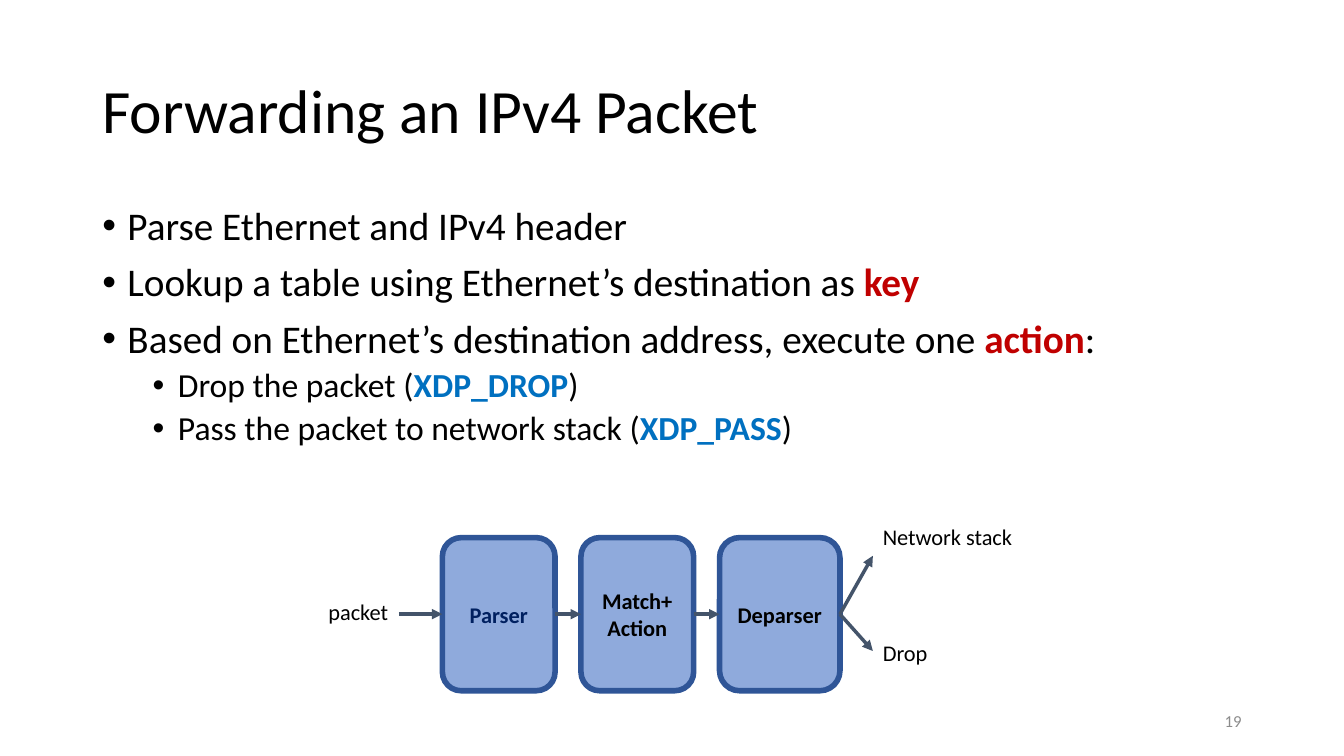
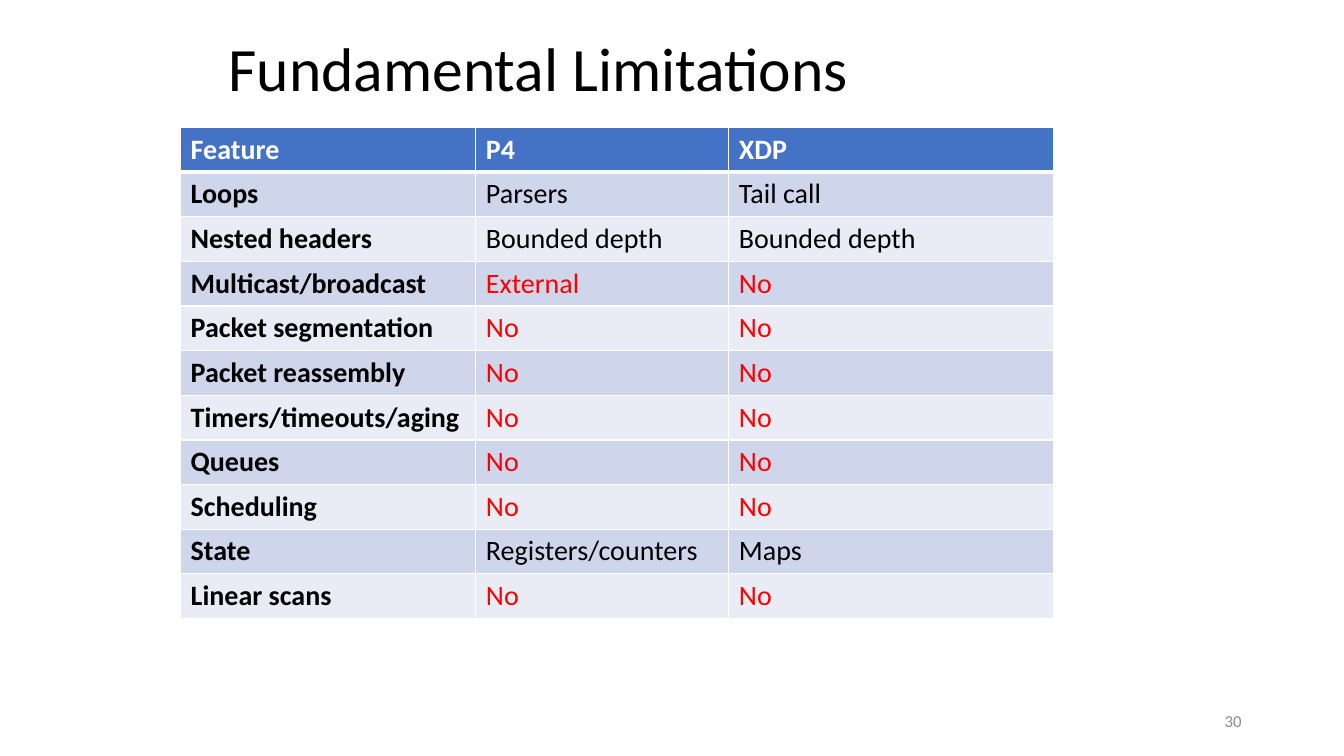
from itertools import pairwise

from lxml.etree import SubElement
from pptx import Presentation
from pptx.dml.color import RGBColor
from pptx.enum.shapes import MSO_CONNECTOR, MSO_SHAPE
from pptx.enum.text import MSO_ANCHOR, MSO_AUTO_SIZE, PP_ALIGN
from pptx.oxml.ns import qn
from pptx.util import Pt

FONT = "Calibri"
COLORS = {
    "text": "000000",
    "white": "FFFFFF",
    "key": "C00000",
    "code": "0070C0",
    "navy": "002060",
    "stage": "8FAADC",
    "stage_line": "2F5597",
    "arrow": "44546A",
    "header": "4472C4",
    "band_dark": "CFD5EA",
    "band_light": "E9EBF5",
    "limit": "FF0000",
    "number": "8C8C8C",
}
LEFT, TOP, RIGHT, BOTTOM = 1, 0, 3, 2
LIMITS = {"No", "External"}

BULLETS = [
    (0, ["Parse Ethernet and IPv4 header"]),
    (0, ["Lookup a table using Ethernet’s destination as ", ("key", "key")]),
    (0, ["Based on Ethernet’s destination address, execute one ",
         ("action", "key"), ":"]),
    (1, ["Drop the packet (", ("XDP_DROP", "code"), ")"]),
    (1, ["Pass the packet to network stack (", ("XDP_PASS", "code"), ")"]),
]
FEATURES = [
    ("Feature", "P4", "XDP"),
    ("Loops", "Parsers", "Tail call"),
    ("Nested headers", "Bounded depth", "Bounded depth"),
    ("Multicast/broadcast", "External", "No"),
    ("Packet segmentation", "No", "No"),
    ("Packet reassembly", "No", "No"),
    ("Timers/timeouts/aging", "No", "No"),
    ("Queues", "No", "No"),
    ("Scheduling", "No", "No"),
    ("State", "Registers/counters", "Maps"),
    ("Linear scans", "No", "No"),
]


def rgb(name):
    return RGBColor.from_string(COLORS[name])


def points(*lengths):
    return [Pt(length) for length in lengths]


def write_para(para, spans, size=16, color="text", bold=False,
               align=PP_ALIGN.LEFT, line_spacing=None, space_before=None):
    """Fill a paragraph; a (text, color) span is bold and in its own color."""
    para.alignment = align
    para.line_spacing = line_spacing
    para.space_before = space_before
    for part in spans:
        strong = isinstance(part, tuple)
        words, shade = part if strong else (part, color)
        span = para.add_run()
        span.text = words
        span.font.name = FONT
        span.font.size = Pt(size)
        span.font.bold = bold or strong
        span.font.color.rgb = rgb(shade)


def write(frame, text, **style):
    """Write each line of the text as one paragraph."""
    for index, line in enumerate(text.split("\n")):
        para = frame.add_paragraph() if index else frame.paragraphs[0]
        write_para(para, [line], **style)


def add_label(page, box, text, wrap=False, anchor=MSO_ANCHOR.TOP, **style):
    frame = page.shapes.add_textbox(*points(*box)).text_frame
    frame.word_wrap = wrap
    frame.vertical_anchor = anchor
    write(frame, text, **style)


def add_page(deck, title, title_box, number):
    page = deck.slides.add_slide(deck.slide_layouts[5])
    holder = page.shapes.title
    holder.left, holder.top, holder.width, holder.height = points(*title_box)
    holder.text_frame.vertical_anchor = MSO_ANCHOR.MIDDLE
    holder.text_frame.auto_size = MSO_AUTO_SIZE.NONE
    write(holder.text_frame, title, size=44, line_spacing=0.9)
    add_label(page, (678, 500.5, 216, 28.8), number, wrap=True,
              anchor=MSO_ANCHOR.MIDDLE, size=12, color="number",
              align=PP_ALIGN.RIGHT)
    return page


def add_bullets(page, box, items):
    frame = page.shapes.add_textbox(*points(*box)).text_frame
    frame.word_wrap = True
    for index, (level, spans) in enumerate(items):
        para = frame.add_paragraph() if index else frame.paragraphs[0]
        para.level = level
        write_para(para, spans, size=28 - 4 * level, line_spacing=0.9,
                   space_before=Pt(10 - 5 * level))
        properties = para._p.get_or_add_pPr()
        properties.set("marL", str(Pt(18 + 36 * level)))
        properties.set("indent", str(-Pt(18)))
        SubElement(properties, qn("a:buFont"), typeface="Arial")
        SubElement(properties, qn("a:buChar"), char="•")


def add_stage(page, box, text, color):
    stage = page.shapes.add_shape(MSO_SHAPE.ROUNDED_RECTANGLE, *points(*box))
    stage.shadow.inherit = False
    stage.fill.solid()
    stage.fill.fore_color.rgb = rgb("stage")
    stage.line.color.rgb = rgb("stage_line")
    stage.line.width = Pt(4)
    stage.text_frame.word_wrap = True
    stage.text_frame.vertical_anchor = MSO_ANCHOR.MIDDLE
    write(stage.text_frame, text, color=color, bold=True,
          align=PP_ALIGN.CENTER)
    return stage


def add_arrow(page, start=(0, 0), end=(0, 0), source=None, target=None):
    """Draw an arrow, joined to the source's right and the target's left."""
    arrow = page.shapes.add_connector(MSO_CONNECTOR.STRAIGHT,
                                      *points(*start, *end))
    if source is not None:
        arrow.begin_connect(source, RIGHT)
    if target is not None:
        arrow.end_connect(target, LEFT)
    arrow.line.color.rgb = rgb("arrow")
    arrow.line.width = Pt(2.5)
    SubElement(arrow.line._get_or_add_ln(), qn("a:tailEnd"), type="triangle")
    SubElement(arrow._element.spPr, qn("a:effectLst"))


def add_pipeline(page, box):
    left, top, width, height = box
    label_height = 26.6
    stage_left, stage_top, stage_height, gap = left + 88.5, top + 14, 109.4, 18.5
    middle = stage_top + stage_height / 2
    exit_left = left + 396

    stages = []
    for text, stage_width, color in (("Parser", 80.5, "navy"),
                                     ("Match+\nAction", 80.5, "text"),
                                     ("Deparser", 86, "text")):
        stage_box = (stage_left, stage_top, stage_width, stage_height)
        stages.append(add_stage(page, stage_box, text, color))
        stage_left += stage_width + gap

    add_label(page, (left, middle - 15, 57.5, label_height), "packet")
    add_arrow(page, start=(left + 57.5, middle), target=stages[0])
    for source, target in pairwise(stages):
        add_arrow(page, source=source, target=target)
    for text, label_width, label_top, tip in (
            ("Network stack", width - 396, top, top + 27),
            ("Drop", 47, top + 83, top + 95)):
        add_arrow(page, end=(exit_left, tip), source=stages[-1])
        add_label(page, (exit_left, label_top, label_width, label_height), text)


def set_border(cell, side, width):
    line = SubElement(cell._tc.get_or_add_tcPr(), qn(f"a:ln{side}"),
                      w=str(Pt(width)))
    fill = SubElement(line, qn("a:solidFill"))
    SubElement(fill, qn("a:srgbClr"), val=COLORS["white"])


def format_cell(cell, text, row, column):
    header = row == 0
    for side in "LRTB":
        heavy = (row, side) in {(0, "B"), (1, "T")}
        set_border(cell, side, 3 if heavy else 1)
    band = "header" if header else "band_dark" if row % 2 else "band_light"
    cell.fill.solid()
    cell.fill.fore_color.rgb = rgb(band)
    color = "white" if header else "limit" if text in LIMITS else "text"
    write(cell.text_frame, text, size=20, color=color,
          bold=header or column == 0)


def add_feature_table(page, box, rows, shares):
    """Place a table whose column widths follow the given shares."""
    frame = page.shapes.add_table(len(rows), len(shares), *points(*box))
    table = frame.table
    table.horz_banding = False
    for column, share in zip(table.columns, shares):
        column.width = Pt(box[2] * share / sum(shares))
    for row, texts in enumerate(rows):
        table.rows[row].height = Pt(box[3] / len(rows))
        for column, text in enumerate(texts):
            format_cell(table.cell(row, column), text, row, column)


def main():
    deck = Presentation()
    deck.slide_width, deck.slide_height = points(960, 540)

    forwarding = add_page(deck, "Forwarding an IPv4 Packet",
                          (66, 28.8, 828, 104.4), "19")
    add_bullets(forwarding, (66, 144, 828, 342.7), BULLETS)
    add_pipeline(forwarding, (227.5, 370, 504, 123.4))

    limitations = add_page(deck, "Fundamental Limitations",
                           (156, 19.4, 648, 64), "30")
    add_feature_table(limitations, (129, 91, 623.5, 351), FEATURES,
                      (2.93, 2.51, 3.22))
    deck.save("out.pptx")


if __name__ == "__main__":
    main()
